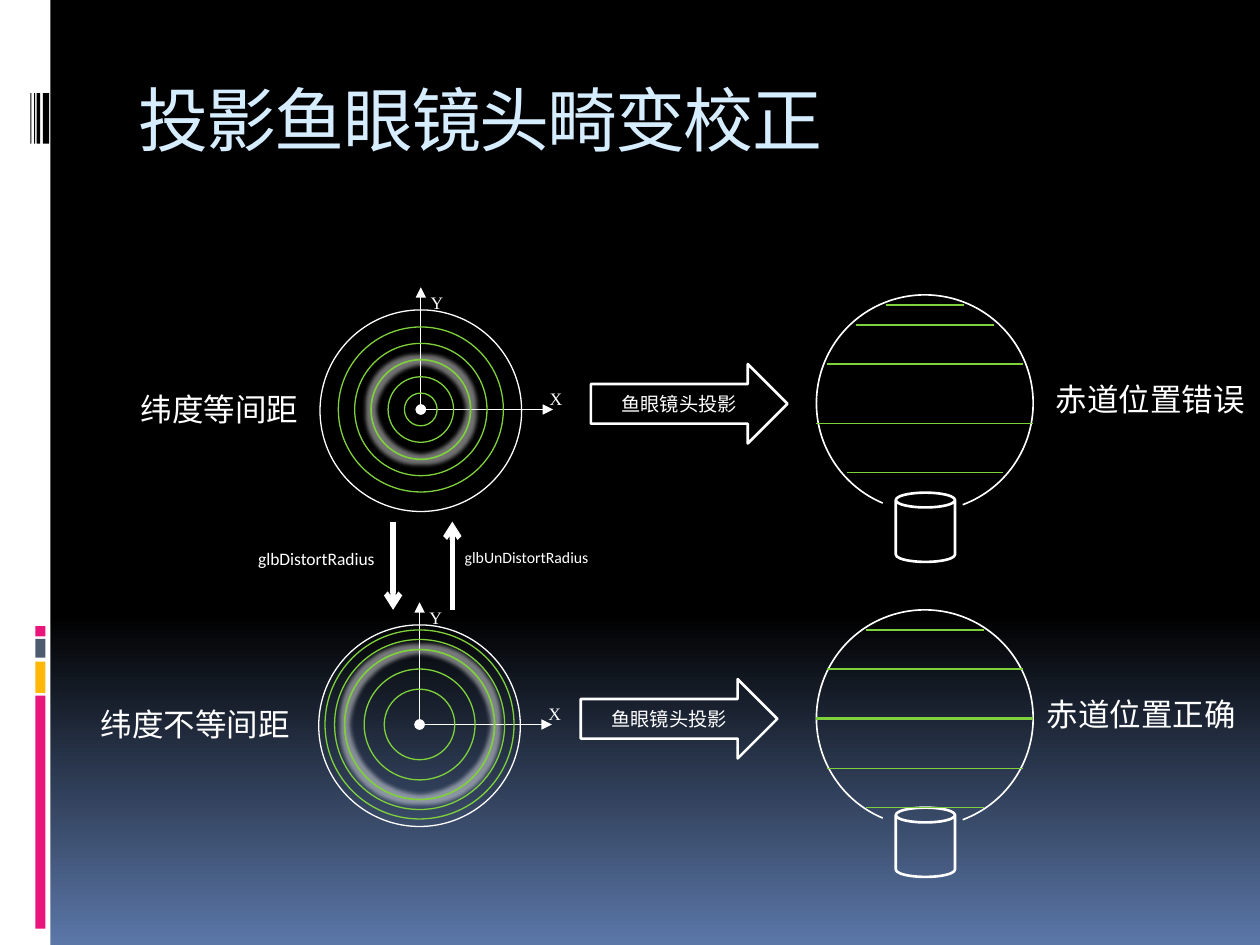
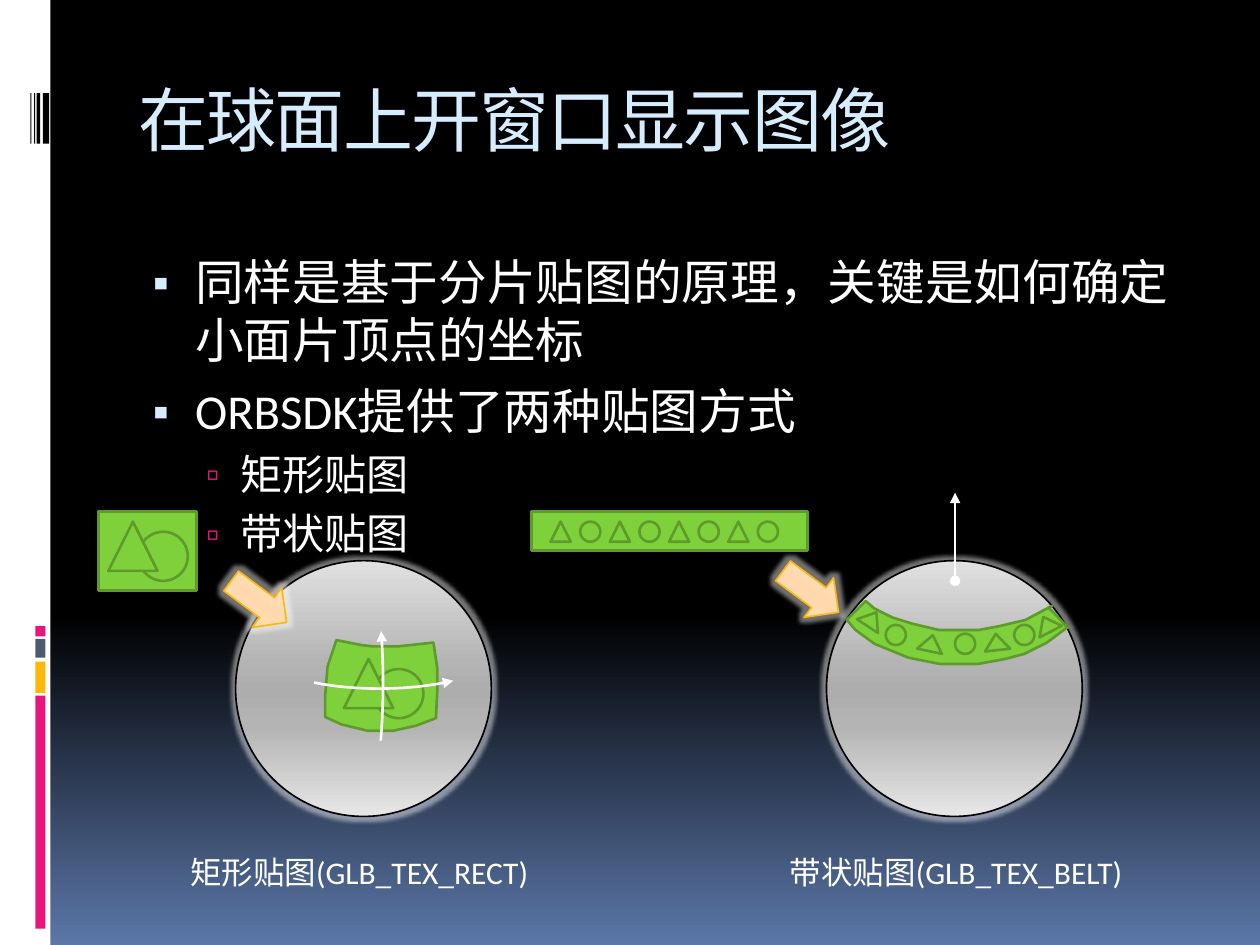
from lxml import etree
from pptx import Presentation
from pptx import util as u
from pptx.dml.color import RGBColor
from pptx.enum import shapes, text
from pptx.oxml.ns import qn

WHITE = RGBColor(0xFF, 0xFF, 0xFF)
BLACK = RGBColor(0x00, 0x00, 0x00)
PINK = RGBColor(0xEA, 0x15, 0x7A)
AMBER = RGBColor(0xFE, 0xB8, 0x0A)
SLATE = RGBColor(0x4E, 0x5B, 0x6F)
ICE = RGBColor(0xD6, 0xEC, 0xFF)
GREEN = RGBColor(0x7F, 0xD1, 0x3B)
DARK_GREEN = RGBColor(0x5E, 0x9B, 0x2C)

# Gradient stops: (percent, colour), from top to bottom
NIGHT = [(0, "000000"), (65, "000000"), (100, "5B77A8")]
SILVER = [(0, "E1E1E1"), (40, "B4B4B4"), (50, "ADADAD"), (65, "B4B4B4"), (100, "E7E7E7")]
PEACH = [(0, "FFF0E1"), (40, "FFDCB4"), (50, "FFD9AD"), (65, "FFDCB4"), (100, "FFF3E7")]

BODY_FONT, TITLE_FONT, AXIS_FONT = "Calibri", "Noto Sans Mono", "Times New Roman"
SHAPE = shapes.MSO_SHAPE
THIN, FINE, MEDIUM, HEAVY = 0.75, 0.94, 1.5, 3


def add_xml(parent, tag, **attributes):
    return etree.SubElement(parent, qn(tag), attributes)


# Fills, outlines and effects
def set_gradient(fill, owner, stops):
    fill.gradient()
    fill.gradient_angle = 270
    stop_list = next(owner.iter(qn("a:gsLst")))
    stop_list.clear()
    for percent, colour in stops:
        stop = add_xml(stop_list, "a:gs", pos=str(percent * 1000))
        add_xml(stop, "a:srgbClr", val=colour)


def style(shape, fill=None, line=None, width=MEDIUM):
    shape.shadow.inherit = False
    if fill is None:
        shape.fill.background()
    elif isinstance(fill, list):
        set_gradient(shape.fill, shape.element, fill)
    else:
        shape.fill.solid()
        shape.fill.fore_color.rgb = fill
    if line is None:
        shape.line.fill.background()
    else:
        shape.line.color.rgb = line
        shape.line.width = u.Pt(width)


def add_glow(shape, points=5, opacity=45):
    effects = next(shape.element.iter(qn("a:effectLst")))
    glow = add_xml(effects, "a:glow", rad=str(u.Pt(points)))
    colour = add_xml(glow, "a:srgbClr", val=str(WHITE))
    add_xml(colour, "a:alpha", val=str(opacity * 1000))


def add_ends(line, head=None, tail=None):
    outline = next(line.element.iter(qn("a:ln")))
    for tag, kind in (("a:headEnd", head), ("a:tailEnd", tail)):
        if kind:
            add_xml(outline, tag, type=kind)


# Shapes
def add_box(page, kind, left, top, width, height, fill=None, line=None,
            weight=MEDIUM, turn=0):
    shape = page.shapes.add_shape(kind, *map(u.Inches, (left, top, width, height)))
    style(shape, fill, line, weight)
    shape.rotation = turn
    return shape


def add_circle(page, centre, diameter, fill=None, line=WHITE, weight=THIN):
    x, y = centre
    return add_box(page, SHAPE.OVAL, x - diameter / 2, y - diameter / 2,
                   diameter, diameter, fill, line, weight)


def add_arc(page, left, top, width, height, angles, weight, turn=0):
    arc = add_box(page, SHAPE.ARC, left, top, width, height, None, WHITE, weight, turn)
    arc.adjustments[0], arc.adjustments[1] = angles
    return arc


def add_line(page, start, end, colour=WHITE, weight=THIN, head=None, tail=None):
    line = page.shapes.add_connector(shapes.MSO_CONNECTOR.STRAIGHT,
                                     *map(u.Inches, start + end))
    line.line.color.rgb = colour
    line.line.width = u.Pt(weight)
    add_ends(line, head, tail)
    add_xml(line.element.spPr, "a:effectLst")
    return line


def add_patch(page, points):
    outline = [(u.Inches(x), u.Inches(y)) for x, y in points]
    builder = page.shapes.build_freeform(*outline[0])
    builder.add_line_segments(outline[1:], close=True)
    style(builder.convert_to_shape(), GREEN, DARK_GREEN)


# Text
def add_span(para, words, size, font=BODY_FONT, colour=WHITE):
    span = para.add_run()
    span.text = words
    span.font.size = u.Pt(size)
    span.font.name = font
    span.font.color.rgb = colour
    add_xml(span.font._element, "a:ea", typeface=font)
    return span


def add_label(page, words, left, top, width, height, size, font=BODY_FONT, wrap=False):
    box = page.shapes.add_textbox(*map(u.Inches, (left, top, width, height)))
    box.text_frame.word_wrap = wrap
    add_span(box.text_frame.paragraphs[0], words, size, font)


def add_bullet(para, words, size, level, mark, colour, scale, margin, hanging, before):
    para.level = level
    para.space_before = u.Pt(before)
    props = para._p.get_or_add_pPr()
    props.set("marL", str(u.Inches(margin)))
    props.set("indent", str(u.Inches(-hanging)))
    add_xml(add_xml(props, "a:buClr"), "a:srgbClr", val=str(colour))
    add_xml(props, "a:buSzPct", val=str(scale * 1000))
    add_xml(props, "a:buFont", typeface=TITLE_FONT)
    add_xml(props, "a:buChar", char=mark)
    add_span(para, words, size)


# Shared look: background and side bands live on the master
def decorate_master(deck, page):
    master = deck.slide_master
    set_gradient(master.background.fill, master.element, NIGHT)
    bands = [(0, 0, 0.4, 7.5, WHITE),
             (0.28, 5.52, 0.08, 1.85, PINK), (0.28, 5.25, 0.08, 0.25, AMBER),
             (0.28, 5.07, 0.08, 0.15, SLATE), (0.28, 4.97, 0.08, 0.08, PINK)]
    bands += [(left, 0.74, width, 0.4, BLACK) for left, width in
              ((0.34, 0.05), (0.29, 0.03), (0.27, 0.01), (0.24, 0.01))]
    for *place, colour in bands:
        band = add_box(page, SHAPE.RECTANGLE, *place, colour)
        master.shapes.element.append(band.element)


def add_page(deck, heading):
    page = deck.slides.add_slide(deck.slide_layouts[5])
    title = page.shapes.title
    title.left, title.top, title.width, title.height = map(u.Inches, (1, 0.56, 8.5, 1))
    frame = title.text_frame
    frame.auto_size = text.MSO_AUTO_SIZE.NONE
    frame.vertical_anchor = text.MSO_ANCHOR.TOP
    para = frame.paragraphs[0]
    para.alignment = text.PP_ALIGN.LEFT
    span = add_span(para, heading, 40, TITLE_FONT, ICE)
    span.font._element.set("spc", "-100")
    return page


# Slide 1: lens distortion
def add_dial(page, x, y, bold_ring, thin_rings):
    add_circle(page, (x, y + 0.01), 1.6)
    centre = (x, y)
    for tip in ((x, y - 0.97), (x + 1.05, y)):
        add_line(page, tip, centre, head="triangle", tail="oval")
    add_label(page, "Y", x - 0.02, y - 0.98, 0.22, 0.14, 10, AXIS_FONT)
    add_label(page, "X", x + 0.94, y - 0.22, 0.18, 0.16, 10, AXIS_FONT)
    add_glow(add_circle(page, centre, bold_ring, None, GREEN, FINE))
    for diameter in thin_rings:
        add_circle(page, centre, diameter, None, GREEN)


def add_dome(page, top, parallels):
    add_arc(page, 6.48, top, 1.72, 1.72, (67.716, 41.715), FINE)
    add_box(page, SHAPE.CAN, 7.11, top + 1.57, 0.47, 0.55, None, WHITE)
    for y, half, weight in parallels:
        add_line(page, (7.34 - half, y), (7.34 + half, y), GREEN, weight)


def add_projection_arrow(page, left, top):
    arrow = add_box(page, SHAPE.RIGHT_ARROW, left, top, 1.56, 0.63, None, WHITE)
    arrow.text_frame.vertical_anchor = text.MSO_ANCHOR.MIDDLE
    para = arrow.text_frame.paragraphs[0]
    para.alignment = text.PP_ALIGN.CENTER
    add_span(para, "鱼眼镜头投影", 11)


def draw_distortion(page):
    add_dial(page, 3.34, 3.25, 0.79, [0.26, 0.52, 1.05, 1.31])
    add_dial(page, 3.33, 5.75, 1.19, [0.56, 0.88, 1.35, 1.5])
    add_dome(page, 2.34, [(2.42, 0.31, FINE), (2.58, 0.55, FINE), (2.89, 0.78, MEDIUM),
                          (3.36, 0.86, FINE), (3.75, 0.62, FINE)])
    add_dome(page, 4.84, [(5, 0.47, FINE), (5.31, 0.78, FINE), (5.7, 0.86, MEDIUM),
                          (6.1, 0.78, FINE), (6.41, 0.47, FINE)])
    add_projection_arrow(page, 4.69, 2.89)
    add_projection_arrow(page, 4.61, 5.39)
    for words, left, top, width in (("纬度等间距", 1.02, 3.05, 1.46),
                                    ("纬度不等间距", 0.7, 5.55, 1.72),
                                    ("赤道位置错误", 8.28, 2.97, 1.72),
                                    ("赤道位置正确", 8.21, 5.47, 1.72)):
        add_label(page, words, left, top, width, 0.4, 18)
    add_line(page, (3.12, 4.14), (3.12, 4.84), weight=HEAVY, tail="arrow")
    add_line(page, (3.59, 4.84), (3.59, 4.14), weight=HEAVY, tail="arrow")
    add_label(page, "glbDistortRadius", 1.95, 4.3, 1.22, 0.28, 10)
    add_label(page, "glbUnDistortRadius", 3.59, 4.3, 1.23, 0.25, 9)


# Slide 2: images mapped on a sphere
def add_sphere(page, left):
    sphere = add_box(page, SHAPE.OVAL, left, 4.45, 2.03, 2.03, SILVER, BLACK, FINE)
    add_glow(sphere)


def add_green(page, kind, left, top, width, height, turn=0):
    add_box(page, kind, left, top, width, height, GREEN, DARK_GREEN, MEDIUM, turn)


def add_emblem(page, left, top):
    add_green(page, SHAPE.OVAL, left + 0.24, top + 0.08, 0.39, 0.39)
    add_green(page, SHAPE.ISOSCELES_TRIANGLE, left, top, 0.39, 0.39)


def draw_rectangle_mapping(page):
    add_patch(page, [(2.67, 5.08), (2.87, 5.12), (2.96, 5.13), (3.16, 5.13), (3.44, 5.1),
                     (3.47, 5.3), (3.47, 5.49), (3.46, 5.7), (3.3, 5.76), (3.12, 5.8),
                     (2.92, 5.8), (2.71, 5.75), (2.58, 5.69), (2.58, 5.53), (2.6, 5.29)])
    add_emblem(page, 2.73, 5.23)
    add_green(page, SHAPE.RECTANGLE, 0.78, 4.06, 0.78, 0.63)
    add_emblem(page, 0.86, 4.14)
    across = add_arc(page, 2.7, 4.18, 0.62, 1.95, (175.721, 37.88), MEDIUM, 90)
    upward = add_arc(page, 2.73, 4.45, 0.31, 1.95, (173.18, 43.891), MEDIUM)
    for arc in (across, upward):
        add_ends(arc, head="triangle")


def draw_belt_mapping(page):
    add_line(page, (7.58, 4.61), (7.58, 3.91), weight=MEDIUM, head="oval", tail="triangle")
    # Flat strip
    add_green(page, SHAPE.RECTANGLE, 4.22, 4.06, 2.19, 0.31)
    for index in range(8):
        kind = SHAPE.OVAL if index % 2 else SHAPE.ISOSCELES_TRIANGLE
        add_green(page, kind, 4.37 + 0.235 * index, 4.14, 0.16, 0.16)
    # Strip bent around the sphere
    add_patch(page, [(8.32, 4.82), (8.39, 4.89), (8.47, 4.98), (8.39, 5.04), (8.31, 5.1),
                     (8.13, 5.19), (7.98, 5.23), (7.76, 5.27), (7.46, 5.27), (7.21, 5.22),
                     (6.94, 5.11), (6.79, 5), (6.72, 4.92), (6.87, 4.77), (6.94, 4.83),
                     (7.08, 4.9), (7.24, 4.95), (7.45, 5), (7.63, 5), (7.77, 5),
                     (7.93, 4.97), (8.14, 4.92), (8.29, 4.84), (8.35, 4.81)])
    for left, top, turn in ((6.82, 4.85, 33.3), (7.29, 5.04, 11.8),
                            (7.81, 5.03, 353.6), (8.21, 4.89, 332.9)):
        add_green(page, SHAPE.ISOSCELES_TRIANGLE, left, top, 0.2, 0.13, turn)
    for left, top in ((7.03, 4.96), (7.58, 5.03), (8.05, 4.96)):
        add_green(page, SHAPE.OVAL, left, top, 0.16, 0.16)


def draw_mappings(page):
    body = page.shapes.add_textbox(*map(u.Inches, (1, 1.95, 8.5, 2.27)))
    frame = body.text_frame
    frame.word_wrap = True
    major = (27.8, 0, "▪", ICE, 95, 0.45, 0.38, 7)
    minor = (24.1, 1, "▫", PINK, 90, 0.81, 0.31, 5)
    for index, (words, look) in enumerate((
            ("同样是基于分片贴图的原理，关键是如何确定小面片顶点的坐标", major),
            ("ORBSDK提供了两种贴图方式", major),
            ("矩形贴图", minor), ("带状贴图", minor))):
        para = frame.add_paragraph() if index else frame.paragraphs[0]
        add_bullet(para, words, *look)
    for left in (1.87, 6.56):
        add_sphere(page, left)
    draw_rectangle_mapping(page)
    draw_belt_mapping(page)
    add_label(page, "矩形贴图(GLB_TEX_RECT)", 1.41, 6.72, 3.05, 0.71, 18)
    add_label(page, "带状贴图(GLB_TEX_BELT)", 6.17, 6.72, 3.05, 0.4, 18, wrap=True)
    for left, top in ((1.78, 4.58), (6.16, 4.5)):
        arrow = add_box(page, SHAPE.RIGHT_ARROW, left, top, 0.55, 0.39,
                        PEACH, AMBER, FINE, 36.7)
        add_glow(arrow)


def main():
    deck = Presentation()
    deck.slide_width, deck.slide_height = u.Inches(10), u.Inches(7.5)
    distortion = add_page(deck, "投影鱼眼镜头畸变校正")
    decorate_master(deck, distortion)
    draw_distortion(distortion)
    draw_mappings(add_page(deck, "在球面上开窗口显示图像"))
    deck.save("out.pptx")


if __name__ == "__main__":
    main()
